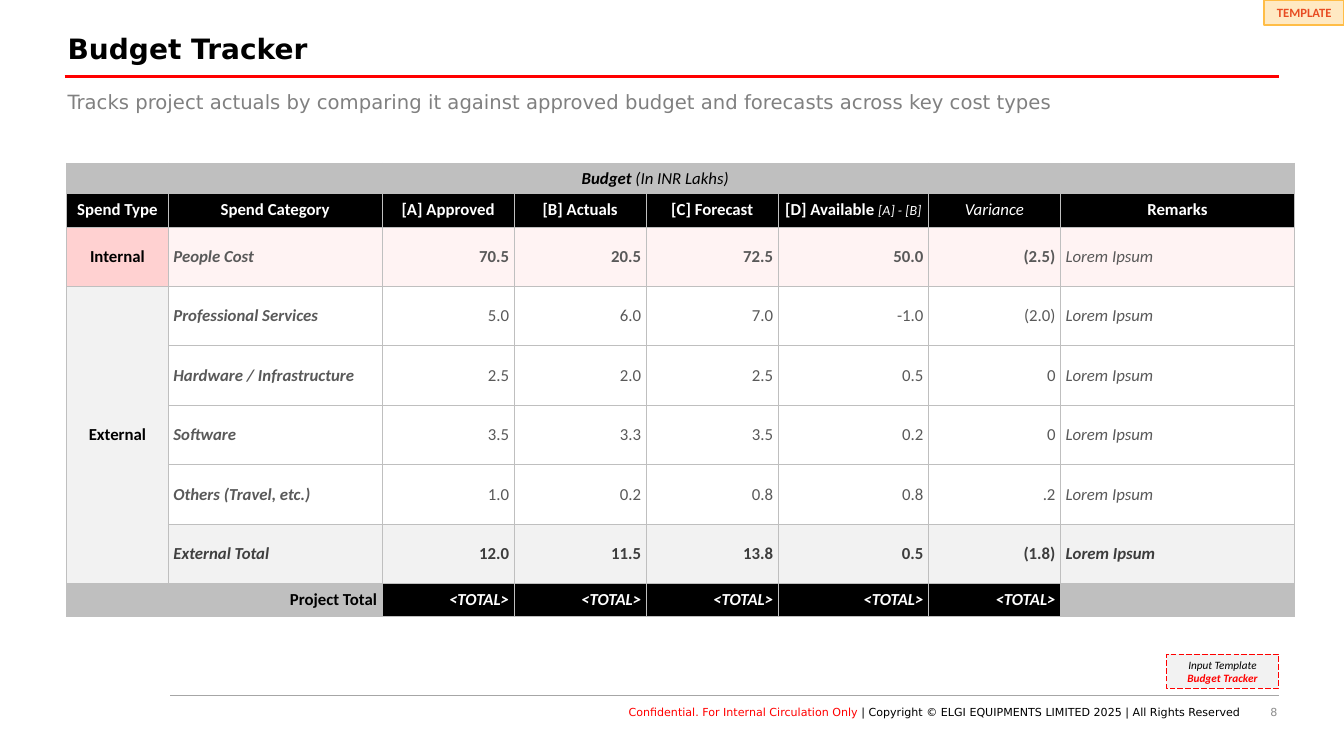
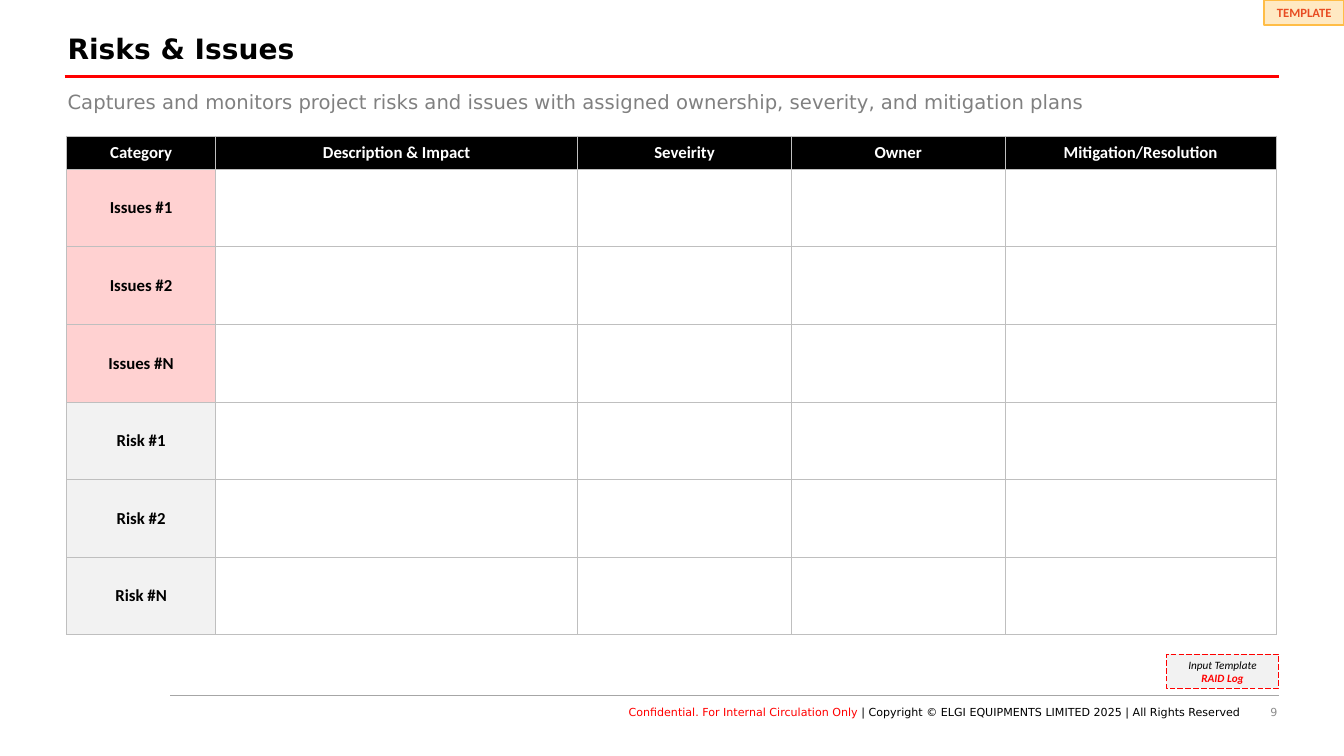
from dataclasses import dataclass, replace
from lxml.etree import SubElement
from pptx import Presentation
from pptx.dml.color import RGBColor
from pptx.enum.dml import MSO_LINE
from pptx.enum.shapes import MSO_CONNECTOR, MSO_SHAPE
from pptx.enum.text import MSO_ANCHOR, PP_ALIGN
from pptx.oxml.ns import qn
from pptx.util import Inches, Pt


@dataclass(frozen=True)
class Theme:
    heading_font: str = "DejaVu Sans"
    body_font: str = "Calibri"
    black: str = "000000"
    white: str = "FFFFFF"
    red: str = "FF0000"
    subtitle: str = "808080"
    number: str = "8C8C8C"
    rule: str = "A6A6A6"
    band: str = "BFBFBF"
    pale: str = "F2F2F2"
    pink: str = "FFD1D1"
    blush: str = "FFF3F3"
    ink: str = "595959"
    dark_ink: str = "404040"
    total_ink: str = "3D3D3D"
    amber: str = "FFBD47"
    orange: str = "E84C22"
    title_size: float = 20
    subtitle_size: float = 14
    table_size: float = 12
    formula_size: float = 10
    badge_size: float = 9
    note_size: float = 8
    footer_size: float = 7.9


THEME = Theme()
LEFT, CENTER, RIGHT = PP_ALIGN.LEFT, PP_ALIGN.CENTER, PP_ALIGN.RIGHT


@dataclass(frozen=True)
class Style:
    color: str = THEME.black
    bold: bool = False
    italic: bool = False
    align: PP_ALIGN = LEFT
    fill: str = ""
    size: float = THEME.table_size
    font: str = THEME.body_font


HEADER = Style(THEME.white, True, align=CENTER, fill=THEME.black)
BAND = Style(bold=True, italic=True, align=CENTER, fill=THEME.band)
ISSUE = Style(bold=True, align=CENTER, fill=THEME.pink)
RISK = replace(ISSUE, fill=THEME.pale)
BLANK = Style()
LABEL = Style(THEME.ink, True, True)
AMOUNT = Style(THEME.ink, align=RIGHT)
REMARK = Style(THEME.ink, italic=True)
TOTAL = replace(HEADER, italic=True, align=RIGHT)
PROJECT = Style(bold=True, align=RIGHT, fill=THEME.band)

TITLE = Style(bold=True, size=THEME.title_size, font=THEME.heading_font)
SUBTITLE = Style(THEME.subtitle, size=THEME.subtitle_size, font=THEME.heading_font)
FOOTER = Style(align=RIGHT, size=THEME.footer_size, font=THEME.heading_font)
PAGE_NUMBER = replace(FOOTER, color=THEME.number)
BADGE = Style(THEME.orange, True, align=CENTER, size=THEME.badge_size)
NOTE = Style(italic=True, align=CENTER, size=THEME.note_size)
NOTE_NAME = replace(NOTE, color=THEME.red, bold=True)


def row_styles(lead, label, amount, remark):
    return [lead, label] + [amount] * 5 + [remark]


SPEND = row_styles(RISK, LABEL, AMOUNT, REMARK)
PEOPLE = [ISSUE] + [
    replace(style, fill=THEME.blush)
    for style in row_styles(ISSUE, LABEL, replace(AMOUNT, bold=True), REMARK)[1:]
]
SUBTOTAL = row_styles(
    RISK,
    replace(LABEL, color=THEME.dark_ink, fill=THEME.pale),
    Style(THEME.total_ink, True, align=RIGHT, fill=THEME.pale),
    Style(THEME.total_ink, True, True, fill=THEME.pale),
)

FOOTER_SPANS = [
    ("Conﬁdential. For Internal Circulation Only ", replace(FOOTER, color=THEME.red)),
    ("| Copyright © ELGI EQUIPMENTS LIMITED 2025 | All Rights Reserved", FOOTER),
]
AVAILABLE = [
    ("[D] Available ", HEADER),
    ("[A] - [B]", replace(HEADER, bold=False, italic=True, size=THEME.formula_size)),
]
VARIANCE = [("Variance", replace(HEADER, bold=False, italic=True))]
BUDGET = [("Budget ", BAND), ("(In INR Lakhs)", replace(BAND, bold=False))]

PAGES = [
    {
        "number": "8",
        "title": "Budget Tracker",
        "subtitle": "Tracks project actuals by comparing it against approved budget "
                    "and forecasts across key cost types",
        "note": "Budget Tracker",
        "top": 1.62,
        "columns": [1.01, 2.12, 1.31, 1.31, 1.31, 1.49, 1.31, 2.32],
        "heights": [0.3, 0.33] + [0.59] * 6 + [0.33],
        "border": 0.5,
        "merges": [(0, 2, 0, 5), (3, 0, 7, 0), (8, 0, 8, 1)],
        "rows": [
            ([BAND] * 8, ["", "", BUDGET, "", "", "", "", ""]),
            ([HEADER] * 8, ["Spend Type", "Spend Category", "[A] Approved", "[B] Actuals",
                            "[C] Forecast", AVAILABLE, VARIANCE, "Remarks"]),
            (PEOPLE, ["Internal", "People Cost", "70.5", "20.5", "72.5", "50.0", "(2.5)",
                      "Lorem Ipsum"]),
            (SPEND, ["External", "Professional Services", "5.0", "6.0", "7.0", "-1.0", "(2.0)",
                     "Lorem Ipsum"]),
            (SPEND, ["", "Hardware / Infrastructure", "2.5", "2.0", "2.5", "0.5", "0",
                     "Lorem Ipsum"]),
            (SPEND, ["", "Software", "3.5", "3.3", "3.5", "0.2", "0", "Lorem Ipsum"]),
            (SPEND, ["", "Others (Travel, etc.)", "1.0", "0.2", "0.8", "0.8", ".2",
                     "Lorem Ipsum"]),
            (SUBTOTAL, ["", "External Total", "12.0", "11.5", "13.8", "0.5", "(1.8)",
                        "Lorem Ipsum"]),
            (row_styles(PROJECT, PROJECT, TOTAL, PROJECT),
             ["Project Total", ""] + ["<TOTAL>"] * 5 + [""]),
        ],
    },
    {
        "number": "9",
        "title": "Risks & Issues",
        "subtitle": "Captures and monitors project risks and issues with assigned ownership, "
                    "severity, and mitigation plans",
        "note": "RAID Log",
        "top": 1.35,
        "columns": [1.48, 3.59, 2.12, 2.12, 2.69],
        "heights": [0.33] + [0.77] * 6,
        "border": 0.75,
        "merges": [],
        "rows": [([HEADER] * 5, ["Category", "Description & Impact", "Seveirity", "Owner",
                                 "Mitigation/Resolution"])]
        + [([style] + [BLANK] * 4, [f"{name} #{mark}"] + [""] * 4)
           for name, style in (("Issues", ISSUE), ("Risk", RISK)) for mark in "12N"],
    },
]


def rgb(color):
    return RGBColor.from_string(color)


def set_font(font, style):
    font.name, font.size = style.font, Pt(style.size)
    font.bold, font.italic = style.bold, style.italic
    font.color.rgb = rgb(style.color)


def write(para, content, style):
    para.alignment = style.align
    set_font(para.font, style)
    if not content:
        SubElement(para._p, qn("a:endParaRPr"), sz=str(round(style.size * 100)))
        return
    spans = [(content, style)] if isinstance(content, str) else content
    for text, span_style in spans:
        span = para.add_run()
        span.text = text
        if span_style != style:
            set_font(span.font, span_style)


def set_frame(frame, margins, anchor):
    frame.word_wrap = True
    frame.vertical_anchor = anchor
    (frame.margin_left, frame.margin_top,
     frame.margin_right, frame.margin_bottom) = map(Inches, margins)


def add_text(page, at, content, style, margins=(0, 0, 0, 0), spacing=None):
    box = page.shapes.add_textbox(*map(Inches, at))
    set_frame(box.text_frame, margins, MSO_ANCHOR.TOP)
    para = box.text_frame.paragraphs[0]
    write(para, content, style)
    if spacing:
        para.line_spacing = spacing


def add_label(page, at, lines, fill, line, width, margins):
    box = page.shapes.add_shape(MSO_SHAPE.RECTANGLE, *map(Inches, at))
    box.shadow.inherit = False
    box.fill.solid()
    box.fill.fore_color.rgb = rgb(fill)
    box.line.color.rgb = rgb(line)
    box.line.width = Pt(width)
    frame = box.text_frame
    set_frame(frame, margins, MSO_ANCHOR.MIDDLE)
    for index, (text, style) in enumerate(lines):
        write(frame.add_paragraph() if index else frame.paragraphs[0], text, style)
    return box


def add_rule(page, start, end, y, color, width):
    rule = page.shapes.add_connector(MSO_CONNECTOR.STRAIGHT, *map(Inches, (start, y, end, y)))
    rule.line.color.rgb = rgb(color)
    rule.line.width = Pt(width)
    SubElement(rule._element.spPr, qn("a:effectLst"))


def set_borders(cell, width):
    props = cell._tc.get_or_add_tcPr()
    for index, side in enumerate(("lnL", "lnR", "lnT", "lnB")):
        edge = props.makeelement(qn(f"a:{side}"), {"w": str(Pt(width))})
        fill = SubElement(edge, qn("a:solidFill"))
        SubElement(fill, qn("a:srgbClr"), val=THEME.band)
        props.insert(index, edge)


def add_grid(page, spec):
    columns, heights = spec["columns"], spec["heights"]
    table = page.shapes.add_table(
        len(heights), len(columns),
        *map(Inches, (0.66, spec["top"], sum(columns), sum(heights)))).table
    table.first_row = table.horz_banding = False
    for column, width in zip(table.columns, columns):
        column.width = Inches(width)
    for row, height, (styles, values) in zip(table.rows, heights, spec["rows"]):
        row.height = Inches(height)
        for cell, style, value in zip(row.cells, styles, values):
            cell.vertical_anchor = MSO_ANCHOR.MIDDLE
            cell.margin_left = cell.margin_right = Inches(0.05)
            cell.margin_top = cell.margin_bottom = Inches(0.05)
            if style.fill:
                cell.fill.solid()
                cell.fill.fore_color.rgb = rgb(style.fill)
            else:
                cell.fill.background()
            set_borders(cell, spec["border"])
            write(cell.text_frame.paragraphs[0], value, style)
    for top, left, bottom, right in spec["merges"]:
        table.cell(top, left).merge(table.cell(bottom, right))


def add_frame(page, spec):
    add_text(page, (9.67, 7, 3, 0.2), spec["number"], PAGE_NUMBER)
    add_text(page, (2.46, 7, 9.84, 0.2), FOOTER_SPANS, FOOTER)
    add_rule(page, 1.69, 12.69, 6.9, THEME.rule, 0.5)
    add_rule(page, 0.64, 12.69, 0.76, THEME.red, 2.25)
    for top, key, style in ((0.3, "title", TITLE), (0.87, "subtitle", SUBTITLE)):
        add_text(page, (0.67, top, 11.58, 0.4), spec[key], style, (0, 0.05, 0.1, 0.05), 0.9)
    badge = add_label(page, (12.54, 0, 0.79, 0.25), [("TEMPLATE", BADGE)],
                      THEME.amber, THEME.amber, 1.5, (0.1, 0.05, 0.1, 0.05))
    tint = badge._element.spPr.find(qn("a:solidFill")).find(qn("a:srgbClr"))
    SubElement(tint, qn("a:alpha"), val="32000")
    note = add_label(page, (11.57, 6.49, 1.11, 0.34),
                     [("Input Template", NOTE), (spec["note"], NOTE_NAME)],
                     THEME.pale, THEME.red, 0.5, (0.1, 0, 0.1, 0))
    note.line.dash_style = MSO_LINE.LONG_DASH


def main():
    deck = Presentation()
    deck.slide_width, deck.slide_height = Inches(13.33), Inches(7.5)
    for spec in PAGES:
        page = deck.slides.add_slide(deck.slide_layouts[6])
        add_frame(page, spec)
        add_grid(page, spec)
    deck.save("out.pptx")


if __name__ == "__main__":
    main()
